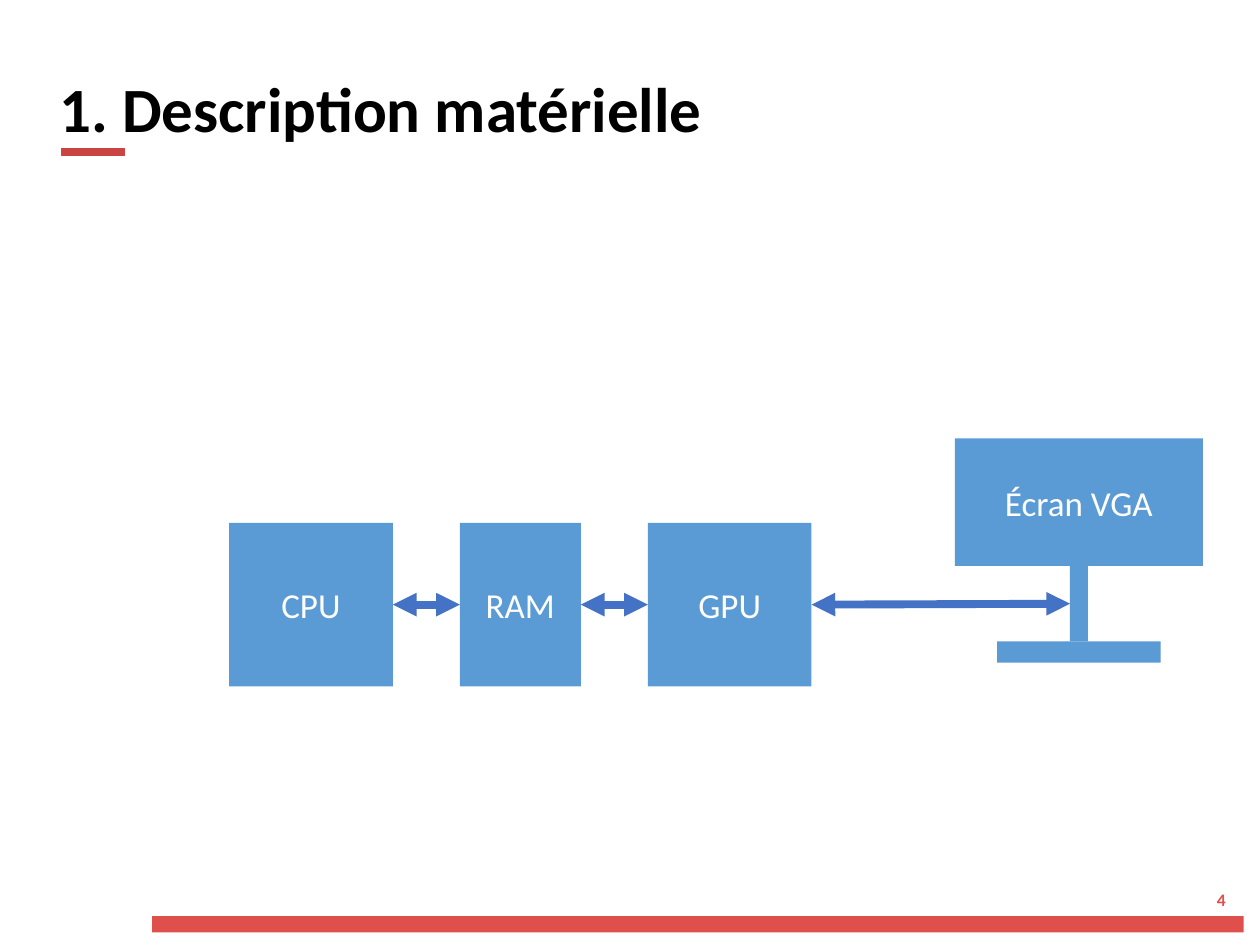
from collections import namedtuple
from dataclasses import dataclass

from lxml import etree
from pptx import Presentation
from pptx import util as u
from pptx.dml.color import RGBColor
from pptx.enum import shapes, text
from pptx.oxml import ns

Box = namedtuple("Box", "left top width height")  # centimetres
LEFT_SIDE, RIGHT_SIDE = 1, 3  # connection sites of a rectangle


@dataclass(frozen=True)
class Theme:
    font: str = "Calibri"
    ink: str = "000000"
    light: str = "FFFFFF"
    block: str = "5B9BD5"
    arrow: str = "4472C4"
    accent: str = "CA4443"
    footer: str = "DF4F4C"
    title_size: int = 36
    label_size: int = 20
    number_size: int = 10
    arrow_width: float = 4.5
    accent_line: float = 0.5


THEME = Theme()


def lengths(box):
    return [u.Cm(value) for value in box]


def write(frame, words, size, color, bold=False, align=text.PP_ALIGN.LEFT):
    para = frame.paragraphs[0]
    para.alignment = align
    span = para.add_run()
    span.text = words
    span.font.name = THEME.font
    span.font.size = u.Pt(size)
    span.font.bold = bold
    span.font.color.rgb = RGBColor.from_string(color)
    return para


def add_block(page, box, color, label=None):
    block = page.shapes.add_shape(shapes.MSO_SHAPE.RECTANGLE, *lengths(box))
    block.shadow.inherit = False
    block.fill.solid()
    block.fill.fore_color.rgb = RGBColor.from_string(color)
    block.line.fill.background()
    if label:
        block.text_frame.vertical_anchor = text.MSO_ANCHOR.MIDDLE
        write(block.text_frame, label, THEME.label_size, THEME.light,
              align=text.PP_ALIGN.CENTER)
    return block


def link(page, source, target):
    """Join the right side of source to the left side of target, both ends arrowed."""
    arrow = page.shapes.add_connector(shapes.MSO_CONNECTOR.STRAIGHT, 0, 0, 0, 0)
    arrow.begin_connect(source, RIGHT_SIDE)
    arrow.end_connect(target, LEFT_SIDE)
    arrow.line.width = u.Pt(THEME.arrow_width)
    arrow.line.color.rgb = RGBColor.from_string(THEME.arrow)
    line = arrow.line._get_or_add_ln()
    for end in ("a:headEnd", "a:tailEnd"):
        etree.SubElement(line, ns.qn(end), type="triangle")
    etree.SubElement(arrow._element.spPr, ns.qn("a:effectLst"))


def add_heading(page, box, words):
    title = page.shapes.title
    title.left, title.top, title.width, title.height = lengths(box)
    frame = title.text_frame
    frame.auto_size = text.MSO_AUTO_SIZE.NONE
    frame.vertical_anchor = text.MSO_ANCHOR.TOP
    para = write(frame, words, THEME.title_size, THEME.ink, bold=True)
    para.line_spacing = 0.9
    para.space_before = u.Pt(10)
    rule = add_block(page, Box(box.left + 0.3, box.top + 1.55, 1.27, 0.13),
                     THEME.accent)
    rule.line.color.rgb = RGBColor.from_string(THEME.accent)
    rule.line.width = u.Pt(THEME.accent_line)


def add_footer(page, box, number):
    holder = page.shapes.add_textbox(
        *lengths(Box(box.left + box.width - 0.79, box.top, 1.37, 0.69)))
    holder.text_frame.word_wrap = True
    write(holder.text_frame, number, THEME.number_size, THEME.footer, bold=True)
    bar_height = 0.33
    add_block(page, Box(box.left, box.top + box.height - bar_height,
                        box.width, bar_height), THEME.footer)


def add_units(page, box, units, gap):
    """Place the named units in a row, a gap apart, and link neighbours."""
    blocks, left = [], box.left
    for label, width in units:
        blocks.append(add_block(page, Box(left, box.top, width, box.height),
                                THEME.block, label))
        left += width + gap
    for source, target in zip(blocks, blocks[1:]):
        link(page, source, target)
    return blocks


def add_monitor(page, box, label):
    """Draw screen, stand and base on one axis; return the stand."""
    axis = box.left + box.width / 2
    top, stand = box.top, None
    parts = ((box.width, 2.57, label), (0.36, 1.52, None), (3.3, 0.43, None))
    for width, height, words in parts:
        part = add_block(page, Box(axis - width / 2, top, width, height),
                         THEME.block, words)
        if width == 0.36:
            stand = part
        top += height
    return stand


def main():
    deck = Presentation()
    deck.slide_width, deck.slide_height = u.Cm(25.4), u.Cm(19.05)
    page = deck.slides.add_slide(deck.slide_layouts.get_by_name("Title Only"))
    add_footer(page, Box(3.07, 17.8, 22, 1), "4")
    add_heading(page, Box(0.94, 1.45, 21.5, 1.98), "1. Description matérielle")
    units = (("CPU", 3.3), ("RAM", 2.44), ("GPU", 3.3))
    blocks = add_units(page, Box(4.62, 10.54, 11.74, 3.3), units, gap=1.35)
    stand = add_monitor(page, Box(19.25, 8.84, 5, 4.52), "Écran VGA")
    link(page, blocks[-1], stand)
    deck.save("out.pptx")


if __name__ == "__main__":
    main()
